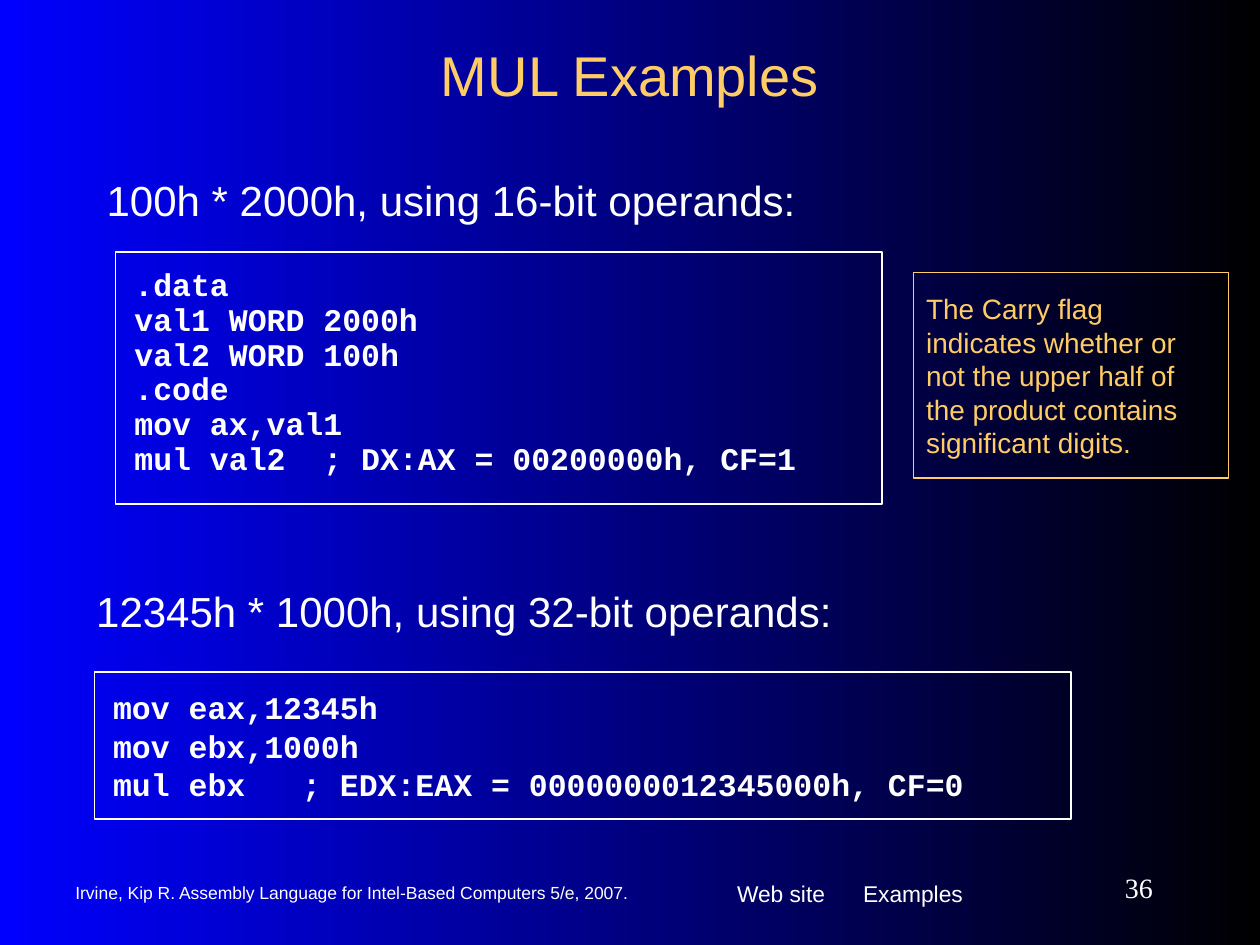
from lxml.etree import SubElement
from pptx import Presentation
from pptx.dml.color import RGBColor
from pptx.enum.shapes import MSO_SHAPE as Shape
from pptx.enum.text import MSO_ANCHOR as Anchor, MSO_AUTO_SIZE as AutoSize, PP_ALIGN as Align
from pptx.oxml.ns import qn
from pptx.util import Cm, Pt

WHITE = RGBColor(0xFF, 0xFF, 0xFF)
GOLD = RGBColor(0xFF, 0xCC, 0x66)
BLUE = RGBColor(0x00, 0x00, 0xFF)
BLACK = RGBColor(0x00, 0x00, 0x00)

TITLE = "MUL Examples"
HEADING_16 = "100h * 2000h, using 16-bit operands:"
HEADING_32 = "12345h * 1000h, using 32-bit operands:"
CODE_16 = [
    ".data",
    "val1 WORD 2000h",
    "val2 WORD 100h",
    ".code",
    "mov ax,val1",
    "mul val2\t; DX:AX = 00200000h, CF=1",
]
CODE_32 = [
    "mov eax,12345h",
    "mov ebx,1000h",
    "mul ebx\t; EDX:EAX = 0000000012345000h, CF=0",
]
CARRY_NOTE = ("The Carry flag indicates whether or not the upper half of "
              "the product contains significant digits.")
LINKS = "Web site\tExamples"
CITATION = "Irvine, Kip R. Assembly Language for Intel-Based Computers 5/e, 2007."
PAGE_NUMBER = "36"

CODE_FORMAT = dict(size=18, font="Courier New", bold=True, space=11.2, insets=(0.38, 0.66))
ROOMY = (0.25, 0.38)


def write(shape, text, box, size, font="Arial", color=WHITE, bold=False, align=Align.LEFT,
          anchor=Anchor.TOP, insets=(0.25, 0.13), spacing=1.0, space=0, tab=None):
    shape.left, shape.top, shape.width, shape.height = map(Cm, box)
    frame = shape.text_frame
    frame.word_wrap = True
    frame.auto_size = AutoSize.NONE
    frame.vertical_anchor = anchor
    frame.margin_left = frame.margin_right = Cm(insets[0])
    frame.margin_top = frame.margin_bottom = Cm(insets[1])
    lines = [text] if isinstance(text, str) else text
    for index, line in enumerate(lines):
        paragraph = frame.add_paragraph() if index else frame.paragraphs[0]
        paragraph.text = line
        paragraph.alignment = align
        paragraph.line_spacing = spacing
        paragraph.space_before = Pt(space if index else 0)
        properties = paragraph._p.get_or_add_pPr()
        properties.set("marL", "0")
        properties.set("indent", "0")
        SubElement(properties, qn("a:buNone"))
        if tab:
            tabs = SubElement(properties, qn("a:tabLst"))
            SubElement(tabs, qn("a:tab"), pos=str(Cm(tab)), algn="l")
        paragraph.font.size = Pt(size)
        paragraph.font.name = font
        paragraph.font.bold = bold
        paragraph.font.color.rgb = color


def add_text(slide, text, box, **text_format):
    write(slide.shapes.add_textbox(0, 0, 0, 0), text, box, **text_format)


def add_frame(slide, text, box, color=WHITE, **text_format):
    shape = slide.shapes.add_shape(Shape.RECTANGLE, 0, 0, 0, 0)
    shape.shadow.inherit = False
    shape.fill.background()
    shape.line.color.rgb = color
    shape.line.width = Pt(0.75)
    write(shape, text, box, color=color, **text_format)


def main():
    presentation = Presentation()
    presentation.slide_width, presentation.slide_height = Cm(25.4), Cm(19.05)
    slide = presentation.slides.add_slide(presentation.slide_layouts[1])

    background = slide.background.fill
    background.gradient()
    background.gradient_angle = 0
    for stop, color in zip(background.gradient_stops, (BLUE, BLACK)):
        stop.color.rgb = color

    title, body = slide.placeholders
    write(title, TITLE, (1.9, 0.64, 21.6, 1.69), size=32, color=GOLD,
          align=Align.CENTER, anchor=Anchor.MIDDLE)
    write(body, HEADING_16, (1.9, 3.39, 21.6, 1.48), size=24)
    add_frame(slide, CODE_16, (2.33, 5.08, 15.45, 5.08), spacing=0.4, tab=5.08, **CODE_FORMAT)
    add_frame(slide, CARRY_NOTE, (18.42, 5.5, 6.35, 4.14), color=GOLD, size=16, insets=ROOMY)
    add_text(slide, HEADING_32, (1.69, 11.43, 19.9, 1.78), size=24, insets=ROOMY)
    add_frame(slide, CODE_32, (1.9, 13.55, 19.69, 2.96), spacing=0.5, tab=4.9, **CODE_FORMAT)

    add_text(slide, CITATION, (1.27, 17.57, 12.28, 0.85), size=10, anchor=Anchor.MIDDLE)
    add_text(slide, LINKS, (14.61, 17.35, 5.72, 1.32), size=13, insets=ROOMY, tab=2.4)
    add_text(slide, PAGE_NUMBER, (20.74, 17.35, 2.75, 1.06), size=16,
             font="Times New Roman", align=Align.RIGHT, anchor=Anchor.MIDDLE)

    presentation.save("out.pptx")


if __name__ == "__main__":
    main()
